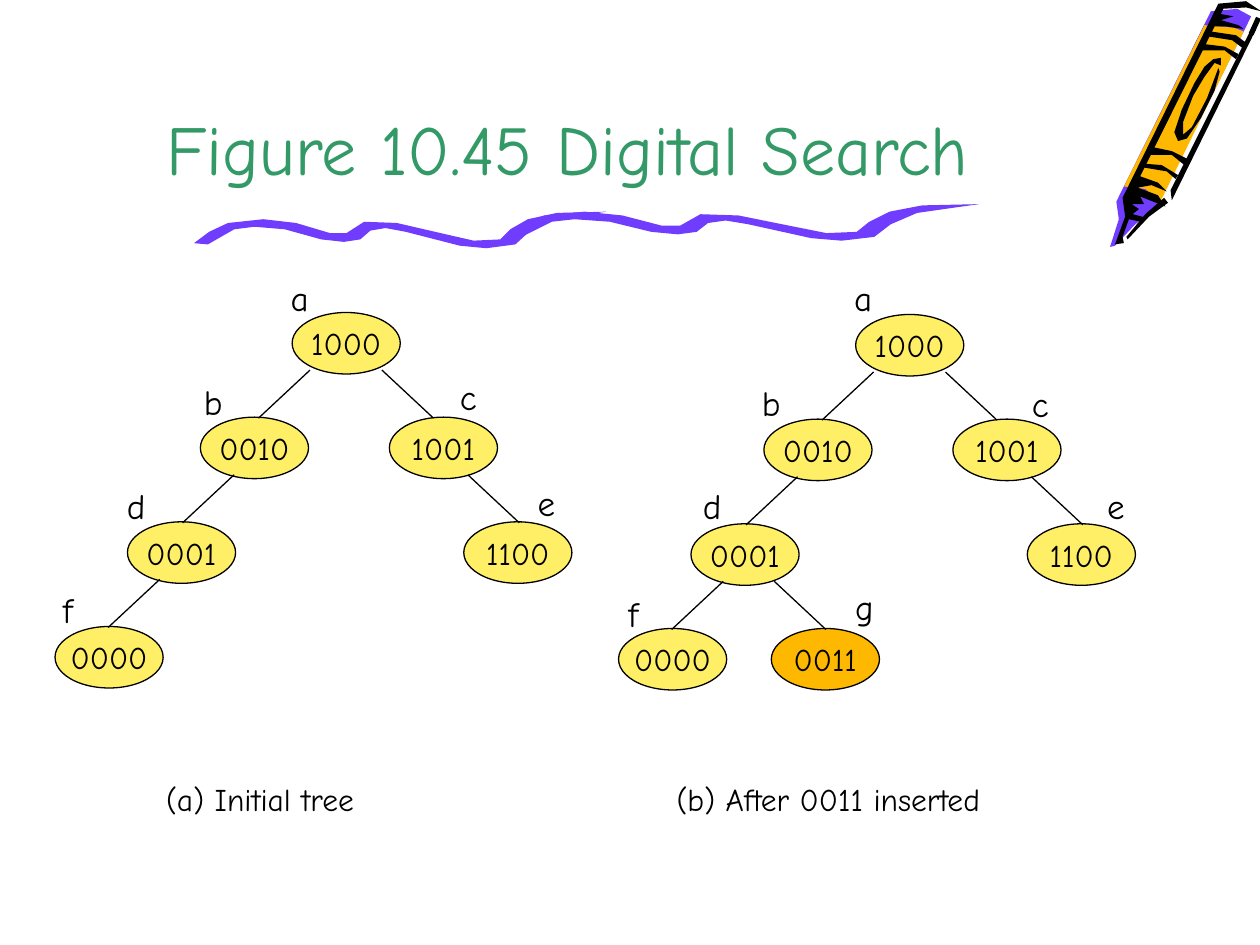
from lxml import etree
from pptx import Presentation
from pptx import util as u
from pptx.dml.color import RGBColor
from pptx.enum import shapes, text
from pptx.oxml.ns import qn

COLORS = {"ink": "000000", "title": "339966", "purple": "703DFF",
          "orange": "FFB800", "yellow": "FFEF66"}
FONT = "Comic Neue"
OUTLINE_UNIT = u.Cm(2.54) / 100

deck = Presentation()
deck.slide_width, deck.slide_height = u.Cm(25.4), u.Cm(19.05)
slide = deck.slides.add_slide(deck.slide_layouts[6])


def write(box, words, size, color="ink", align=text.PP_ALIGN.LEFT,
          anchor=text.MSO_ANCHOR.TOP, wrap=True):
    frame = box.text_frame
    frame.text = words
    frame.word_wrap = wrap
    frame.vertical_anchor = anchor
    frame.paragraphs[0].alignment = align
    font = frame.paragraphs[0].runs[0].font
    font.name, font.size = FONT, u.Pt(size)
    font.color.rgb = RGBColor.from_string(COLORS[color])


def draw_line(x1, y1, x2, y2, width):
    line = slide.shapes.add_connector(
        shapes.MSO_CONNECTOR.STRAIGHT, u.Cm(x1), u.Cm(y1), u.Cm(x2), u.Cm(y2))
    line.line.color.rgb = RGBColor.from_string(COLORS["ink"])
    line.line.width = u.Pt(width)
    etree.SubElement(line._element.spPr, qn("a:effectLst"))


# Crayon outlines, in hundredths of an inch, from back to front
outlines = [
    ("purple", [(993, 13), (917, 166), (901, 178), (885, 195), (881, 196),
                (888, 174), (886, 160), (961, 9), (982, 7)]),
    ("orange", [(921, 160), (909, 150), (892, 148), (956, 20), (979, 22),
                (987, 25)]),
    ("ink", [(927, 161), (912, 172), (895, 190), (894, 188), (909, 170),
             (924, 157)]),
    ("ink", [(987, 23), (973, 21), (961, 21), (968, 11), (979, 13),
             (969, 16), (983, 20)]),
    ("ink", [(968, 57), (964, 72), (953, 94), (942, 110), (935, 112),
             (932, 105), (938, 87), (948, 66), (956, 53), (963, 47),
             (969, 46), (969, 52), (964, 50), (956, 61), (947, 76),
             (939, 97), (939, 107), (946, 101), (958, 78), (967, 54)]),
    ("ink", [(997, 23), (930, 159), (929, 151), (993, 23)]),
    ("ink", [(925, 164), (919, 155), (903, 149), (914, 147), (926, 152),
             (919, 145), (905, 140), (971, 7), (989, 6), (1001, 9),
             (989, 1), (967, 3), (891, 157), (893, 172), (885, 194),
             (892, 193), (891, 188), (896, 174), (905, 176), (910, 173),
             (899, 170), (904, 166), (898, 162), (908, 162), (905, 156)]),
    ("ink", [(933, 142), (926, 136), (908, 133), (909, 130), (922, 131),
             (935, 139)]),
    ("ink", [(940, 131), (930, 123), (913, 123), (916, 117), (930, 120),
             (942, 126)]),
    ("ink", [(981, 47), (972, 40), (953, 40), (956, 35), (972, 37),
             (983, 43)]),
    ("ink", [(986, 38), (978, 32), (959, 29), (961, 25), (981, 28),
             (989, 34)]),
]

# Underline: one wave, repeated wider and slightly higher
wave = [(165, 194), (186, 182), (202, 180), (226, 182), (255, 190),
        (273, 192), (286, 190), (294, 183), (306, 181), (322, 184),
        (365, 195), (386, 197), (409, 194), (420, 184), (438, 175),
        (481, 168), (442, 169), (419, 174), (405, 182), (397, 190),
        (376, 191), (354, 186), (315, 177), (289, 176), (275, 185),
        (262, 185), (235, 177), (209, 174), (181, 177), (166, 184),
        (154, 193)]
outlines.append(("purple", wave))
outlines.append(("purple", [(401 + (x - 154) * 1.15, y - 6) for x, y in wave]))

for color, points in outlines:
    builder = slide.shapes.build_freeform(*points[0], scale=OUTLINE_UNIT)
    builder.add_line_segments(points[1:], close=True)
    outline = builder.convert_to_shape()
    outline.shadow.inherit = False
    outline.fill.solid()
    outline.fill.fore_color.rgb = RGBColor.from_string(COLORS[color])
    outline.line.fill.background()
draw_line(25.37, 0.36, 25.22, 0.69, 3)

# Title
title = slide.shapes.add_textbox(u.Cm(1.9), u.Cm(0), u.Cm(19.08), u.Cm(3.94))
write(title, "Figure 10.45 Digital Search", 40, "title",
      text.PP_ALIGN.CENTER, text.MSO_ANCHOR.BOTTOM)

# Trees: key, left and level of each node; start of each edge on its parent
NODE_W, NODE_H = 2.18, 1.24
TOP, LEVEL = 6.3, 2.11
nodes = {"a": ("1000", 5.89, 0), "b": ("0010", 4.04, 1),
         "d": ("0001", 2.57, 2), "f": ("0000", 1.11, 3),
         "c": ("1001", 7.85, 1), "e": ("1100", 9.35, 2),
         "g": ("0011", 4.19, 3)}
edges = [("a", "b", 0.36), ("b", "d", 0.68), ("d", "f", 0.65),
         ("a", "c", 1.81), ("c", "e", 1.58), ("d", "g", 1.68)]
EDGE_TOP, EDGE_DX, EDGE_DY = 1.16, 1.04, 0.97

trees = [
    (0, 0, {"a": (5.61, 5.44), "b": (3.86, 7.54), "c": (9.02, 7.44),
            "d": (2.31, 9.65), "e": (10.59, 9.58), "f": (1.02, 11.73)}),
    (11.36, 0.04, {"a": (16.97, 5.44), "b": (15.11, 7.57), "c": (20.55, 7.59),
                   "d": (13.92, 9.65), "e": (22.07, 9.65), "f": (12.42, 11.81),
                   "g": (16.99, 11.68)}),
]
for dx, dy, labels in trees:
    for name, (key, left, level) in nodes.items():
        if name not in labels:
            continue
        node = slide.shapes.add_shape(
            shapes.MSO_SHAPE.OVAL, u.Cm(left + dx),
            u.Cm(TOP + level * LEVEL + dy), u.Cm(NODE_W), u.Cm(NODE_H))
        node.shadow.inherit = False
        node.fill.solid()
        node.fill.fore_color.rgb = RGBColor.from_string(
            COLORS["orange" if name == "g" else "yellow"])
        node.line.color.rgb = RGBColor.from_string(COLORS["ink"])
        node.line.width = u.Pt(0.75)
        write(node, key, 18, align=text.PP_ALIGN.CENTER,
              anchor=text.MSO_ANCHOR.MIDDLE, wrap=False)

    for parent, child, start in edges:
        if child not in labels:
            continue
        x = nodes[parent][1] + start + dx
        y = TOP + nodes[parent][2] * LEVEL + EDGE_TOP + dy
        side = 1 if nodes[child][1] > nodes[parent][1] else -1
        draw_line(x, y, x + side * EDGE_DX, y + EDGE_DY, 0.75)

    for name, (left, top) in labels.items():
        label = slide.shapes.add_textbox(
            u.Cm(left), u.Cm(top), u.Cm(0.89), u.Cm(1.12))
        write(label, name, 20)

# Captions
for words, left, width in [("(a) Initial tree", 3.1, 5.03),
                           ("(b) After 0011 inserted", 13.39, 7.54)]:
    caption = slide.shapes.add_textbox(
        u.Cm(left), u.Cm(15.6), u.Cm(width), u.Cm(1.02))
    write(caption, words, 18)

deck.save("out.pptx")
